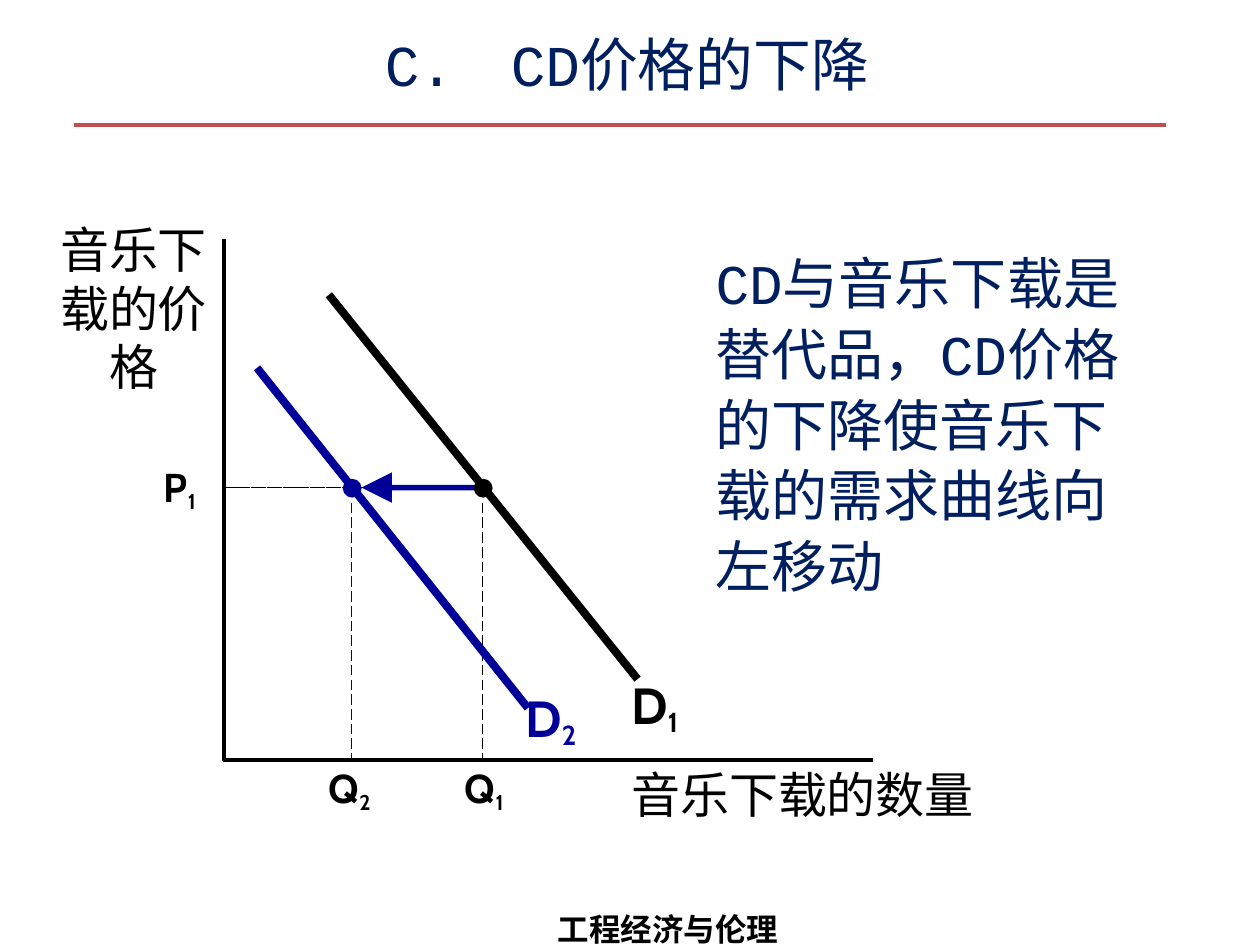
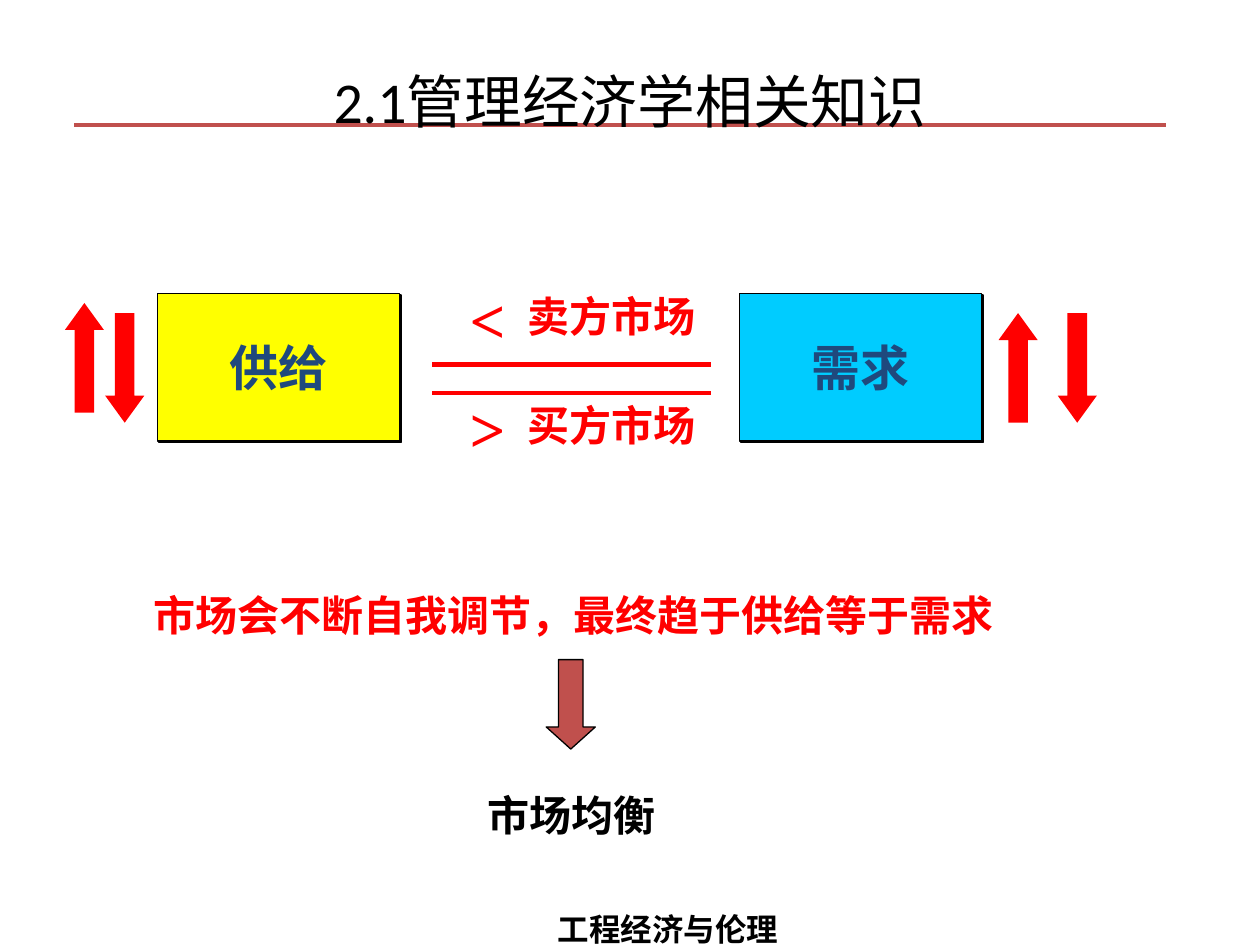
from lxml import etree
from pptx import Presentation
from pptx.dml.color import RGBColor
from pptx.enum import dml, shapes, text
from pptx.oxml import ns
from pptx.util import Inches, Pt

# The grid has 10 columns and 7.5 rows, each one inch.
COLUMNS, ROWS = 10, 7.5

THEME = {
    "black": "000000", "white": "FFFFFF", "navy": "001F5F", "curve": "000099",
    "red": "FF0000", "accent": "C0504D", "yellow": "FFFF00", "sky": "00CCFF",
    "box_text": "1F497D",
    "mono": "Courier New", "symbol": "Cabin", "serif": "Times New Roman",
    "sans": "Noto Sans CJK SC", "heading": "Calibri",
    "title": 33, "body": 32, "axis": 28, "curve_name": 29, "tick": 23,
    "box": 28, "market": 24, "sign": 36, "footer": 18,
}

# Content: the fall in the CD price
FOOTER = "工程经济与伦理"
CD_TITLE = "C.\tCD价格的下降"
EXPLANATION = "CD与音乐下载是 替代品，CD价格 的下降使音乐下 载的需求曲线向 左移动"
PRICE_AXIS = "音乐下 载的价 格"
QUANTITY_AXIS = "音乐下载的数量"
AXIS_X, AXIS_TOP, AXIS_Y, AXIS_END = 1.78, 1.9, 6.03, 6.93
PRICE_LEVEL = 3.87
# subscript, start, end, quantity, name corner, quantity label column, colour
DEMAND_CURVES = [
    ("1", (2.61, 2.34), (5.06, 5.39), 3.83, (4.97, 5.33), 3.63, "black"),
    ("2", (2.04, 2.92), (4.19, 5.62), 2.79, (4.13, 5.43), 2.55, "curve"),
]

# Content: supply and demand
MARKET_TITLE = "2.1管理经济学相关知识"
MARKET_BOXES = [("供给", 1.25, "yellow"), ("需求", 5.87, "sky")]
MARKET_CASES = [("<", 2.18, "卖方市场", 2.26), (">", 3.04, "买方市场", 3.12)]
EQUAL_SIGN_ROWS = (2.89, 3.12)
# direction, centre column, centre row
CHANGE_ARROWS = [("UP", 0.67, 2.84), ("DOWN", 0.99, 2.92),
                 ("UP", 8.08, 2.92), ("DOWN", 8.55, 2.92)]
ADJUSTMENT = "市场会不断自我调节，最终趋于供给等于需求"
EQUILIBRIUM = "市场均衡"

FLUSH = (0, 0.02, 0, 0)
PADDED = (0.1, 0.05, 0.1, 0.05)


def colour(name):
    return RGBColor.from_string(THEME[name])


def run(words, size, font, ink, bold=False, baseline=0):
    return {"words": words, "size": size, "font": font, "ink": ink,
            "bold": bold, "baseline": baseline}


def symbol(letter, subscript, size, ink="black", drop=-18):
    """A bold letter and its lowered, slightly smaller subscript."""
    return [run(letter, size, "symbol", ink, True),
            run(subscript, size - 2, "symbol", ink, True, drop)]


def write(shape, runs, insets=PADDED, align="LEFT", anchor="TOP", wrap=True,
          indent=0, spacing=None, tabs=()):
    frame = shape.text_frame
    frame.word_wrap = wrap
    frame.vertical_anchor = getattr(text.MSO_ANCHOR, anchor)
    for side, inset in zip(("left", "top", "right", "bottom"), insets):
        setattr(frame, f"margin_{side}", Inches(inset))
    paragraph = frame.paragraphs[0]
    properties = paragraph._p.get_or_add_pPr()
    properties.set("marL", str(int(Inches(indent))))
    properties.set("indent", "0")
    if tabs:
        stops = etree.SubElement(properties, ns.qn("a:tabLst"))
        for tab in tabs:
            etree.SubElement(stops, ns.qn("a:tab"), pos=str(int(Inches(tab))), algn="l")
    for name, value in {"alignment": getattr(text.PP_ALIGN, align),
                        "line_spacing": spacing}.items():
        setattr(paragraph, name, value)
    for part in runs:
        piece = paragraph.add_run()
        piece.text = part["words"]
        for name, value in {"size": Pt(part["size"]), "name": THEME[part["font"]],
                            "bold": part["bold"]}.items():
            setattr(piece.font, name, value)
        piece.font.color.rgb = colour(part["ink"])
        if part["baseline"]:
            piece.font._element.set("baseline", str(part["baseline"] * 1000))


def add_text(slide, place, runs, **layout):
    box = slide.shapes.add_textbox(*map(Inches, place))
    write(box, runs, **layout)


def add_shape(slide, kind, place, fill, outline=0):
    shape = slide.shapes.add_shape(getattr(shapes.MSO_SHAPE, kind), *map(Inches, place))
    shape.shadow.inherit = False
    shape.fill.solid()
    shape.fill.fore_color.rgb = colour(fill)
    if outline:
        shape.line.color.rgb = colour("black")
        shape.line.width = Pt(outline)
    else:
        shape.line.fill.background()
    return shape


def add_arrow(slide, kind, centre, size, fill, shaft, head, outline=0):
    (x, y), (width, height) = centre, size
    arrow = add_shape(slide, kind, (x - width / 2, y - height / 2, width, height),
                      fill, outline)
    arrow.adjustments[0], arrow.adjustments[1] = shaft, head


def add_line(slide, start, end, ink, width, dash=None):
    line = slide.shapes.add_connector(shapes.MSO_CONNECTOR.STRAIGHT,
                                      *map(Inches, (*start, *end)))
    line.line.color.rgb = colour(ink)
    line.line.width = Pt(width)
    if dash:
        line.line.dash_style = getattr(dml.MSO_LINE, dash)
    etree.SubElement(line._element.spPr, ns.qn("a:effectLst"))


def add_axes(slide):
    builder = slide.shapes.build_freeform(Inches(AXIS_X), Inches(AXIS_TOP))
    corners = [(AXIS_X, AXIS_Y), (AXIS_END, AXIS_Y)]
    builder.add_line_segments([tuple(map(Inches, corner)) for corner in corners],
                              close=False)
    axes = builder.convert_to_shape()
    axes.shadow.inherit = False
    axes.fill.background()
    axes.line.color.rgb = colour("black")
    axes.line.width = Pt(2.25)


def add_hard_shadow(shape):
    effects = shape._element.spPr.find(ns.qn("a:effectLst"))
    shadow = etree.SubElement(effects, ns.qn("a:outerShdw"), dist=str(int(Pt(1.4))),
                              dir="2700000", algn="ctr", rotWithShape="0")
    etree.SubElement(shadow, ns.qn("a:srgbClr"), val=THEME["black"])


def new_slide(presentation):
    """Blank slide with the shared rule and footer."""
    slide = presentation.slides.add_slide(presentation.slide_layouts[6])
    add_line(slide, (0.59, 0.99), (9.25, 0.99), "accent", 2.25)
    add_text(slide, (4.33, 7.02, 1.95, 0.55),
             [run(FOOTER, THEME["footer"], "serif", "black", True)],
             wrap=False, spacing=1.5)
    return slide


def add_title(slide, place, words, font, ink, **layout):
    add_text(slide, place, [run(words, THEME["title"], font, ink)],
             align="CENTER", anchor="MIDDLE", **layout)


def build_cd_slide(presentation):
    slide = new_slide(presentation)
    add_title(slide, (2.53, 0.21, 4.88, 0.56), CD_TITLE, "mono", "navy",
              insets=FLUSH, indent=0.01, tabs=(0, 0.93, *range(1, 7)))

    # Axes and the price level
    add_axes(slide)
    q1, q2 = (curve[3] for curve in DEMAND_CURVES)
    for end, dash in ((q1, "SQUARE_DOT"), (q2, "LONG_DASH")):
        add_line(slide, (AXIS_X, PRICE_LEVEL), (end, PRICE_LEVEL), "black", 0.77, dash)

    # Demand curves, each with its drop line, name and quantity label
    for number, start, end, quantity, corner, label_left, ink in DEMAND_CURVES:
        add_line(slide, start, end, ink, 4.6)
        add_line(slide, (quantity, PRICE_LEVEL + 0.12), (quantity, AXIS_Y - 0.01),
                 ink, 0.77, "LONG_DASH")
        add_text(slide, (*corner, 0.56, 0.53),
                 symbol("D", number, THEME["curve_name"], ink, -17),
                 insets=FLUSH, indent=0.04)
        add_text(slide, (label_left, 6.04, 0.5, 0.42),
                 symbol("Q", number, THEME["tick"]), insets=FLUSH, indent=0.06)
    add_arrow(slide, "LEFT_ARROW", (3.32, PRICE_LEVEL), (0.9, 0.24), "curve", 0.18, 1)
    for *_, quantity, _, _, ink in DEMAND_CURVES:
        add_shape(slide, "OVAL", (quantity - 0.07, PRICE_LEVEL - 0.07, 0.15, 0.15), ink)

    # Axis labels
    add_text(slide, (1.26, 3.65, 0.43, 0.42), symbol("P", "1", THEME["tick"]),
             insets=FLUSH, indent=0.04)
    for words, place, align in ((PRICE_AXIS, (0.46, 1.72, 1.19, 1.41), "CENTER"),
                                (QUANTITY_AXIS, (5, 6.05, 2.75, 0.48), "LEFT")):
        add_text(slide, place, [run(words, THEME["axis"], "mono", "black")],
                 insets=FLUSH, align=align, indent=0.01)

    # Explanation
    panel = add_shape(slide, "RECTANGLE", (5.58, 1.92, 3.56, 2.83), "white")
    write(panel, [run(EXPLANATION, THEME["body"], "mono", "navy")],
          insets=(0, 0.03, 0, 0), indent=0.1, spacing=1.05)


def build_market_slide(presentation):
    slide = new_slide(presentation)

    # Supply and demand boxes
    for words, left, fill in MARKET_BOXES:
        box = add_shape(slide, "RECTANGLE", (left, 2.33, 1.92, 1.17), fill, 1)
        add_hard_shadow(box)
        write(box, [run(words, THEME["box"], "serif", "box_text", True)],
              align="CENTER", anchor="MIDDLE", wrap=False)

    # Comparison between the boxes
    for sign, sign_top, words, words_top in MARKET_CASES:
        add_text(slide, (3.59, words_top, 2.12, 0.5),
                 [run(words, THEME["market"], "serif", "red", True)], indent=0.5)
        add_text(slide, (3.28, sign_top, 1.18, 0.7),
                 [run(sign, THEME["sign"], "serif", "red", True)], align="CENTER")
    for row in EQUAL_SIGN_ROWS:
        add_line(slide, (3.43, row), (5.64, row), "red", 2.75)

    # Rising and falling arrows
    for direction, x, y in CHANGE_ARROWS:
        add_arrow(slide, f"{direction}_ARROW", (x, y), (0.31, 0.87), "red", 0.5, 0.69)

    # Adjustment leads to equilibrium
    for words, place, ink in ((ADJUSTMENT, (1.12, 4.63, 7.1, 0.5), "red"),
                              (EQUILIBRIUM, (3.77, 6.22, 1.6, 0.5), "black")):
        add_text(slide, place, [run(words, THEME["market"], "sans", ink, True)])
    add_arrow(slide, "DOWN_ARROW", (4.53, 5.59), (0.39, 0.71), "accent",
              0.5, 0.45, 0.75)
    add_title(slide, (0.5, 0.17, 9, 1.25), MARKET_TITLE, "heading", "black")


def main():
    presentation = Presentation()
    presentation.slide_width = Inches(COLUMNS)
    presentation.slide_height = Inches(ROWS)
    build_cd_slide(presentation)
    build_market_slide(presentation)
    presentation.save("out.pptx")


if __name__ == "__main__":
    main()
